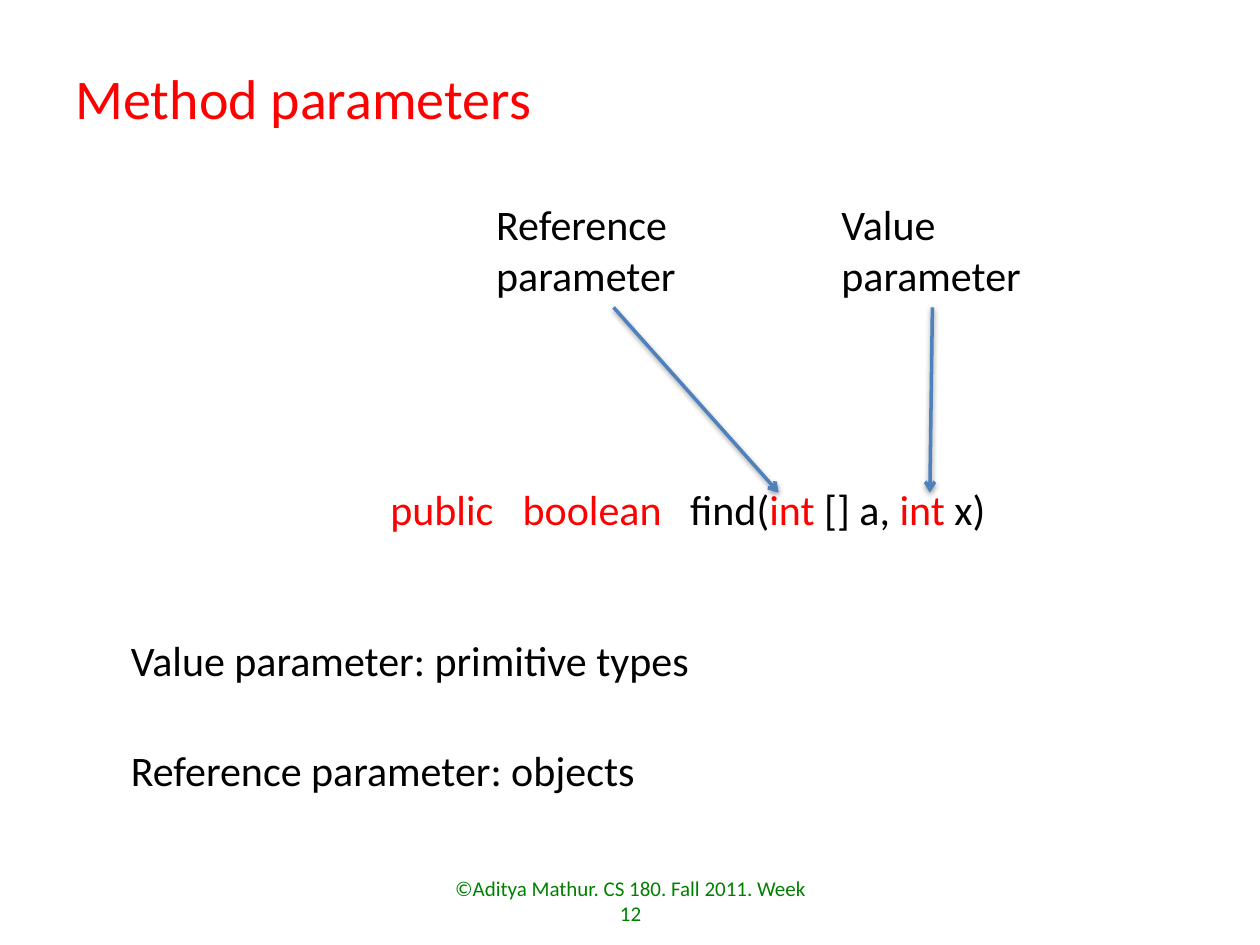
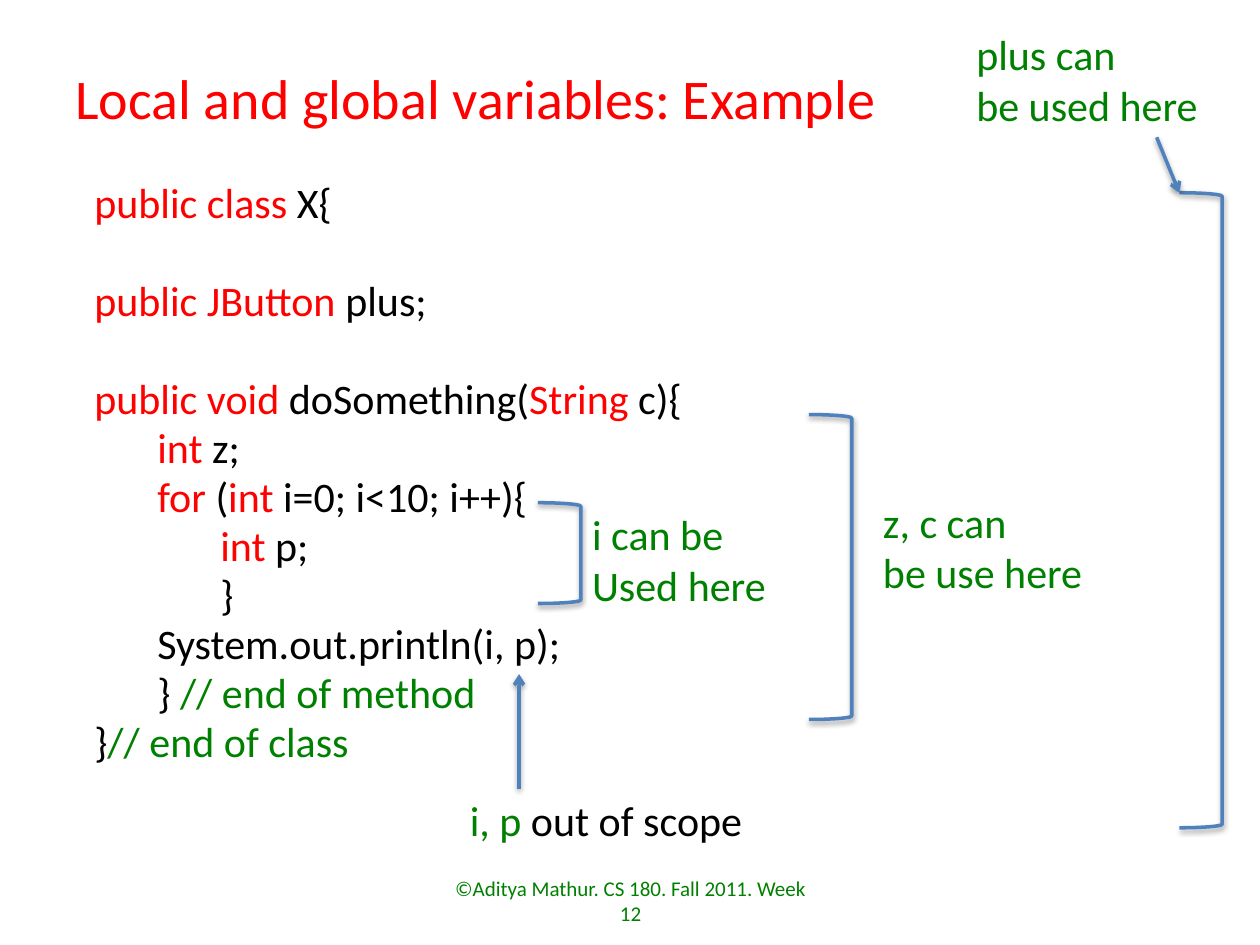
import pptx
import pptx.util
import pptx.dml.color
import pptx.enum.shapes
import pptx.enum.text
import pptx.oxml
import pptx.oxml.ns
import lxml.etree

Inches = pptx.util.Inches
Pt = pptx.util.Pt
qn = pptx.oxml.ns.qn

COLORS = {"keyword": "FF0000", "note": "008000", "text": "000000", "stroke": "4F81BD"}
FONT = "Calibri"
FOOTER = "©Aditya Mathur. CS 180. Fall 2011. Week 12"
SHADOW = (
    '<a:effectLst xmlns:a="http://schemas.openxmlformats.org/drawingml/2006/main">'
    '<a:outerShdw blurRad="40000" dist="20000" dir="5400000" rotWithShape="0">'
    '<a:srgbClr val="000000"><a:alpha val="38000"/></a:srgbClr>'
    "</a:outerShdw></a:effectLst>"
)


def write(page, at, lines, size=24, wrap=False):
    """Add a text box; each line is a list of (text, colour name) spans."""
    box = page.shapes.add_textbox(*[Inches(value) for value in at])
    frame = box.text_frame
    frame.word_wrap = wrap
    for number, spans in enumerate(lines):
        para = frame.paragraphs[0] if number == 0 else frame.add_paragraph()
        for text, color in spans:
            span = para.add_run()
            span.text = text
            span.font.name = FONT
            span.font.size = Pt(size)
            span.font.color.rgb = pptx.dml.color.RGBColor.from_string(COLORS[color])
    return box


def stroke(shape, arrow=False):
    """Give a bracket or arrow the common line and soft shadow."""
    shape.line.color.rgb = pptx.dml.color.RGBColor.from_string(COLORS["stroke"])
    shape.line.width = Pt(2)
    properties = shape._element.spPr
    if arrow:
        lxml.etree.SubElement(properties.find(qn("a:ln")), qn("a:tailEnd"), type="arrow")
    properties.append(pptx.oxml.parse_xml(SHADOW))


deck = pptx.Presentation()
deck.slide_width = Inches(10)
deck.slide_height = Inches(7.5)

# Title and footer on every page
pages = []
for title in ["Method parameters", "Local and global variables: Example"]:
    page = deck.slides.add_slide(deck.slide_layouts[6])
    heading = write(page, (0.5, 0.46, 7.92, 1.07), [[(title, "keyword")]], 32, True)
    heading.text_frame.paragraphs[0].line_spacing = Pt(38)
    footer = write(page, (3.42, 6.95, 3.17, 0.4), [[(FOOTER, "note")]], 12, True)
    footer.text_frame.vertical_anchor = pptx.enum.text.MSO_ANCHOR.MIDDLE
    footer.text_frame.paragraphs[0].alignment = pptx.enum.text.PP_ALIGN.CENTER
    pages.append(page)
parameters_page, scope_page = pages

# Method parameters: signature with tab stops between its words
signature = write(parameters_page, (3, 3.79, 4.97, 0.5), [[
    ("public\tboolean\t", "keyword"), ("find(", "text"), ("int", "keyword"),
    (" [] a, ", "text"), ("int ", "keyword"), ("x)", "text"),
]], wrap=True)
tabs = lxml.etree.SubElement(
    signature.text_frame.paragraphs[0]._p.get_or_add_pPr(), qn("a:tabLst"))
for position in (1.05, 2.38):
    lxml.etree.SubElement(tabs, qn("a:tab"), pos=str(Inches(position)), algn="l")

labels = {}
for kind, left in [("Value", 6.58), ("Reference", 3.84)]:
    labels[kind] = write(parameters_page, (left, 1.53, 1.64, 0.91),
                         [[(kind, "text")], [("parameter", "text")]])

for text, top, width in [("Value parameter: primitive types", 4.99, 4.68),
                         ("Reference parameter: objects", 5.86, 4.24)]:
    write(parameters_page, (0.94, top, width, 0.5), [[(text, "text")]])

# Scope example: (indent level, space before in points, spans)
code = [
    (0, 0, [("public class ", "keyword"), ("X{", "text")]),
    (0, 28, [("public JButton", "keyword"), (" plus;", "text")]),
    (0, 28, [("public void ", "keyword"), ("doSomething(", "text"),
             ("String ", "keyword"), ("c){", "text")]),
    (1, 0, [("int ", "keyword"), ("z;", "text")]),
    (1, 0, [("for", "keyword"), (" (", "text"), ("int ", "keyword"),
            ("i=0; i<10; i++){", "text")]),
    (2, 0, [("int ", "keyword"), ("p;", "text")]),
    (2, 0, [("}", "text")]),
    (1, 0, [("System.out.println(i, p);", "text")]),
    (1, 0, [("} ", "text"), ("// end of method", "note")]),
    (0, 0, [("}", "text"), ("// end of class", "note")]),
]
listing = write(scope_page, (0.65, 1.36, 6.08, 5.21), [spans for _, _, spans in code], wrap=True)
for para, (level, gap, _) in zip(listing.text_frame.paragraphs, code):
    para.line_spacing = Pt(28)
    para.space_before = Pt(gap)
    para._p.get_or_add_pPr().set("marL", str(Inches(0.5 * level)))

for left, top, height in [(6.42, 3.29, 2.42), (4.27, 3.99, 0.8), (9.36, 1.53, 5.04)]:
    bracket = scope_page.shapes.add_shape(
        pptx.enum.shapes.MSO_SHAPE.RIGHT_BRACKET,
        Inches(left), Inches(top), Inches(0.34), Inches(height))
    bracket.fill.background()
    stroke(bracket)

for left, top, width, lines in [
    (6.91, 3.89, 1.8, ["z, c can", "be use here"]),
    (4.6, 3.99, 1.59, ["i can be", "Used here"]),
    (7.65, 0.18, 1.98, ["plus can", "be used here"]),
]:
    write(scope_page, (left, top, width, 0.91), [[(line, "note")] for line in lines])
write(scope_page, (3.63, 6.26, 2.38, 0.5), [[("i, p", "note"), (" out of scope", "text")]])

# Arrows: page, start, end, label whose bottom the arrow leaves from
for page, start, end, label in [
    (parameters_page, (4.87, 2.44), (6.18, 3.91), None),
    (parameters_page, (7.4, 2.44), (7.38, 3.91), labels["Value"]),
    (scope_page, (4.12, 6.26), (4.12, 5.35), None),
    (scope_page, (9.18, 1.09), (9.36, 1.53), None),
]:
    arrow = page.shapes.add_connector(
        pptx.enum.shapes.MSO_CONNECTOR.STRAIGHT,
        *[Inches(value) for value in start + end])
    if label is not None:
        arrow.begin_connect(label, 2)
    stroke(arrow, arrow=True)

deck.save("out.pptx")
